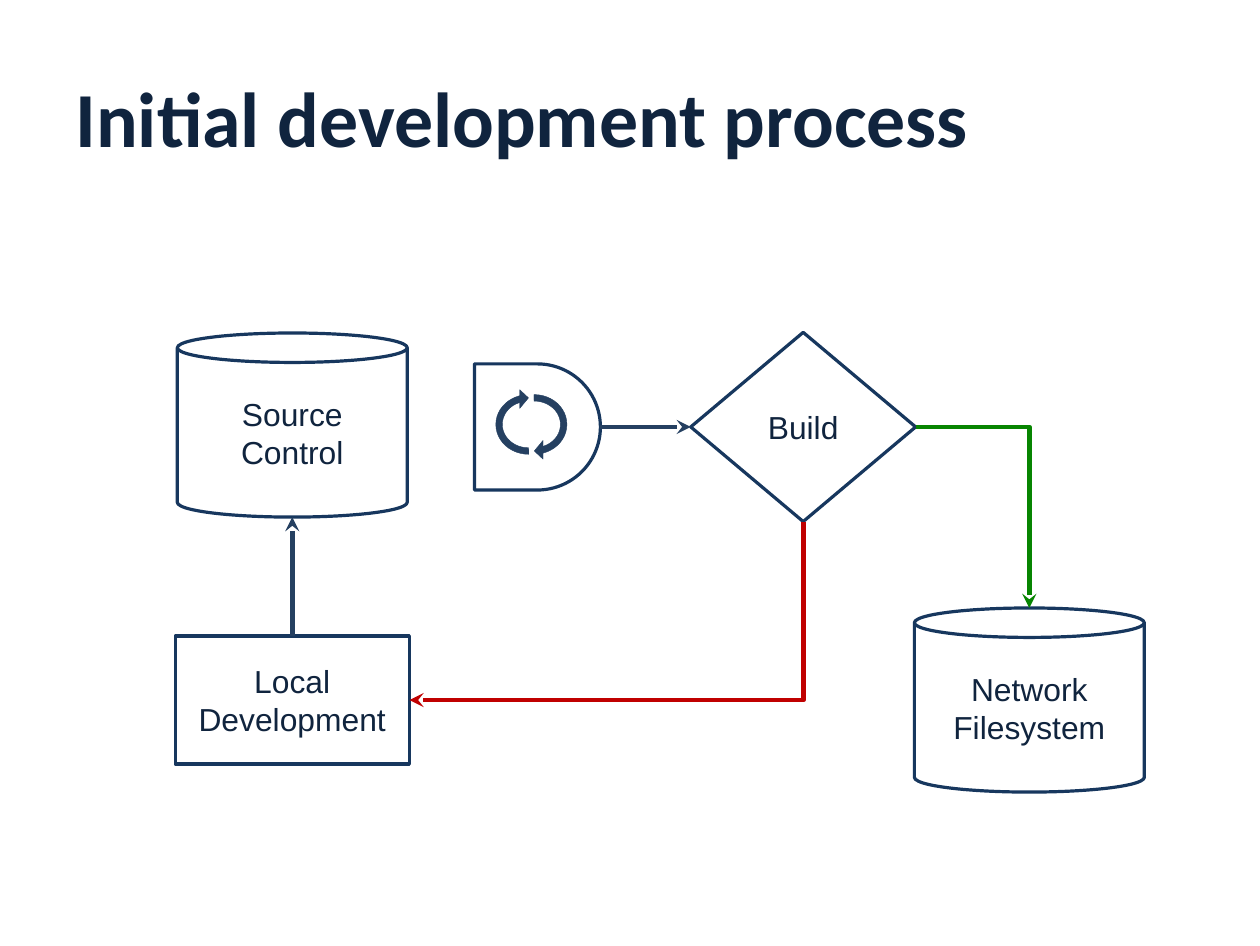
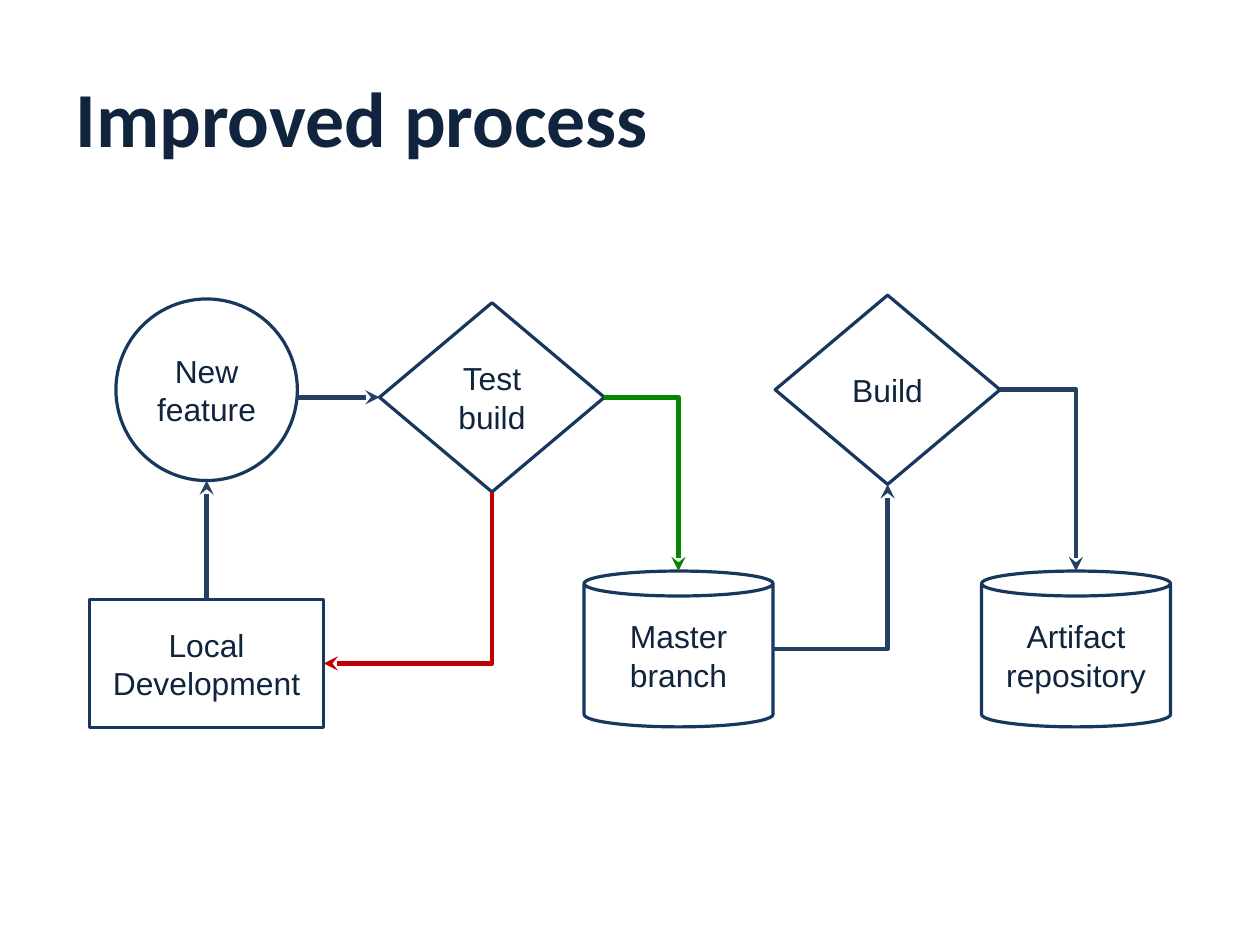
from lxml import etree
from pptx import Presentation
from pptx.dml.color import RGBColor
from pptx.enum.shapes import MSO_CONNECTOR, MSO_SHAPE
from pptx.enum.text import MSO_ANCHOR, MSO_AUTO_SIZE, PP_ALIGN
from pptx.oxml.ns import qn
from pptx.util import Inches, Pt

LINE = MSO_CONNECTOR.STRAIGHT
ELBOW = MSO_CONNECTOR.ELBOW
CAN = MSO_SHAPE.CAN
RECT = MSO_SHAPE.RECTANGLE
DIAMOND = MSO_SHAPE.DIAMOND
DELAY = MSO_SHAPE.FLOWCHART_DELAY
OVAL = MSO_SHAPE.OVAL
CYCLE = MSO_SHAPE.CIRCULAR_ARROW
MIDDLE = MSO_ANCHOR.MIDDLE
FIXED = MSO_AUTO_SIZE.NONE
LEFT, CENTER = PP_ALIGN.LEFT, PP_ALIGN.CENTER

WIDTH, HEIGHT = Inches(11.02), Inches(8.27)
COL, ROW = WIDTH / 20, HEIGHT / 15

INK, EDGE, ARROW = "10243E", "17375E", "254061"
PASS, FAIL, PAPER = "078501", "C00000", "FFFFFF"

TITLE = dict(left=COL, top=0.6 * ROW, width=18 * COL, height=2.5 * ROW)
HEAD = dict(name="Calibri", size=Pt(49), bold=True)
LABEL = dict(name="Arial", size=Pt(20), bold=False)
FRAME = dict(vertical_anchor=MIDDLE, word_wrap=True, auto_size=FIXED)
INSET = dict(margin_left=Inches(0.11), margin_right=Inches(0.11),
             margin_top=Inches(0.06), margin_bottom=Inches(0.06))

# Sizes in columns and rows
BIG, SMALL = (3.65, 2.92), (3, 2.47)
BOX, GEM = (3.72, 2.03), (3.57, 3)
ROUND, STEP, TURN = (2.88, 2.88), (2, 2), (1.14, 1.23)
RIM = [0.16]
SWEEP = [0.09, 11.42, 204.58, 107.65, 0.13]


def apply(item, values):
    for name, value in values.items():
        setattr(item, name, value)


def paint(fill, color):
    fill.solid()
    fill.fore_color.rgb = RGBColor.from_string(color)


def write(shape, text, font, align):
    frame = shape.text_frame
    apply(frame, FRAME)
    frame.text = text
    para = frame.paragraphs[0]
    para.alignment = align
    apply(para.font, font)
    paint(para.font.fill, INK)


def node(slide, kind, mid, size, text="", adj=(), fill=PAPER, edge=EDGE,
         weight=2, turn=0):
    """Draw a shape centred on a grid point."""
    (x, y), (w, h) = mid, size
    shape = slide.shapes.add_shape(
        kind, round((x - w / 2) * COL), round((y - h / 2) * ROW),
        round(w * COL), round(h * ROW))
    shape.shadow.inherit = False
    shape.rotation = turn
    for place, value in enumerate(adj):
        shape.adjustments[place] = value
    paint(shape.fill, fill)
    paint(shape.line.fill, edge)
    shape.line.width = Pt(weight)
    if text:
        write(shape, text, LABEL, CENTER)
    return shape


def port(shape, side):
    """Return the middle of one side: l, r, t or b."""
    dx, dy = dict(l=(0, 0.5), r=(1, 0.5), t=(0.5, 0), b=(0.5, 1))[side]
    return shape.left + dx * shape.width, shape.top + dy * shape.height


def link(slide, start, out, end, into, color=ARROW):
    """Join two sides by an arrow, with one corner if their axes differ."""
    (x1, y1), (x2, y2) = port(start, out), port(end, into)
    flat = out in "lr"
    bent = flat != (into in "lr")
    turn = bent and not flat
    if not bent:
        x1, y1 = (x1, y2) if flat else (x2, y1)
    if turn:
        # Box before a quarter turn, which makes the first leg vertical
        cx, cy = (x1 + x2) / 2, (y1 + y2) / 2
        w, h = (y2 - y1) / 2, (x1 - x2) / 2
        x1, y1, x2, y2 = cx - w, cy - h, cx + w, cy + h
    line = slide.shapes.add_connector(
        ELBOW if bent else LINE, *map(round, (x1, y1, x2, y2)))
    paint(line.line.fill, color)
    line.line.width = Pt(3)
    props = line._element.spPr
    if bent:
        props.find(qn("a:prstGeom")).set("prst", "bentConnector2")
    if turn:
        props.find(qn("a:xfrm")).set("rot", "5400000")
    etree.SubElement(props.find(qn("a:ln")), qn("a:tailEnd"), type="stealth")
    etree.SubElement(props, qn("a:effectLst"))


def page(deck, text):
    slide = deck.slides.add_slide(deck.slide_layouts[5])
    title = slide.shapes.title
    apply(title, {key: round(value) for key, value in TITLE.items()})
    write(title, text, HEAD, LEFT)
    apply(title.text_frame, INSET)
    return slide


def first(deck):
    slide = page(deck, "Initial development process")
    left, mid, right = 4.64, 12.75, 16.34
    top, low = 6.77, 11.1
    source = node(slide, CAN, (left, 6.74), BIG, "Source Control", RIM)
    local = node(slide, RECT, (left, low), BOX, "Local Development")
    build = node(slide, DIAMOND, (mid, top), GEM, "Build")
    delay = node(slide, DELAY, (8.53, top), STEP)
    store = node(slide, CAN, (right, low), BIG, "Network Filesystem", RIM)
    link(slide, local, "t", source, "b")
    link(slide, delay, "r", build, "l")
    link(slide, build, "r", store, "t", PASS)
    link(slide, build, "b", local, "r", FAIL)
    for x, turn in ((8.39, 270), (8.48, 90)):
        node(slide, CYCLE, (x, 6.73), TURN, adj=SWEEP, fill=ARROW,
             edge=ARROW, weight=0.25, turn=turn)


def second(deck):
    slide = page(deck, "Improved process")
    left, top, low = 3.28, 6.18, 10.29
    local = node(slide, RECT, (left, 10.52), BOX, "Local Development")
    test = node(slide, DIAMOND, (7.81, 6.3), GEM, "Test build")
    master = node(slide, CAN, (10.77, low), SMALL, "Master branch", RIM)
    new = node(slide, OVAL, (left, top), ROUND, "New feature")
    build = node(slide, DIAMOND, (14.09, top), GEM, "Build")
    store = node(slide, CAN, (17.08, low), SMALL, "Artifact repository", RIM)
    link(slide, local, "t", new, "b")
    link(slide, new, "r", test, "l")
    link(slide, test, "r", master, "t", PASS)
    link(slide, test, "b", local, "r", FAIL)
    link(slide, master, "r", build, "b")
    link(slide, build, "r", store, "t")


def main():
    deck = Presentation()
    apply(deck, dict(slide_width=WIDTH, slide_height=HEIGHT))
    first(deck)
    second(deck)
    deck.save("out.pptx")


if __name__ == "__main__":
    main()
